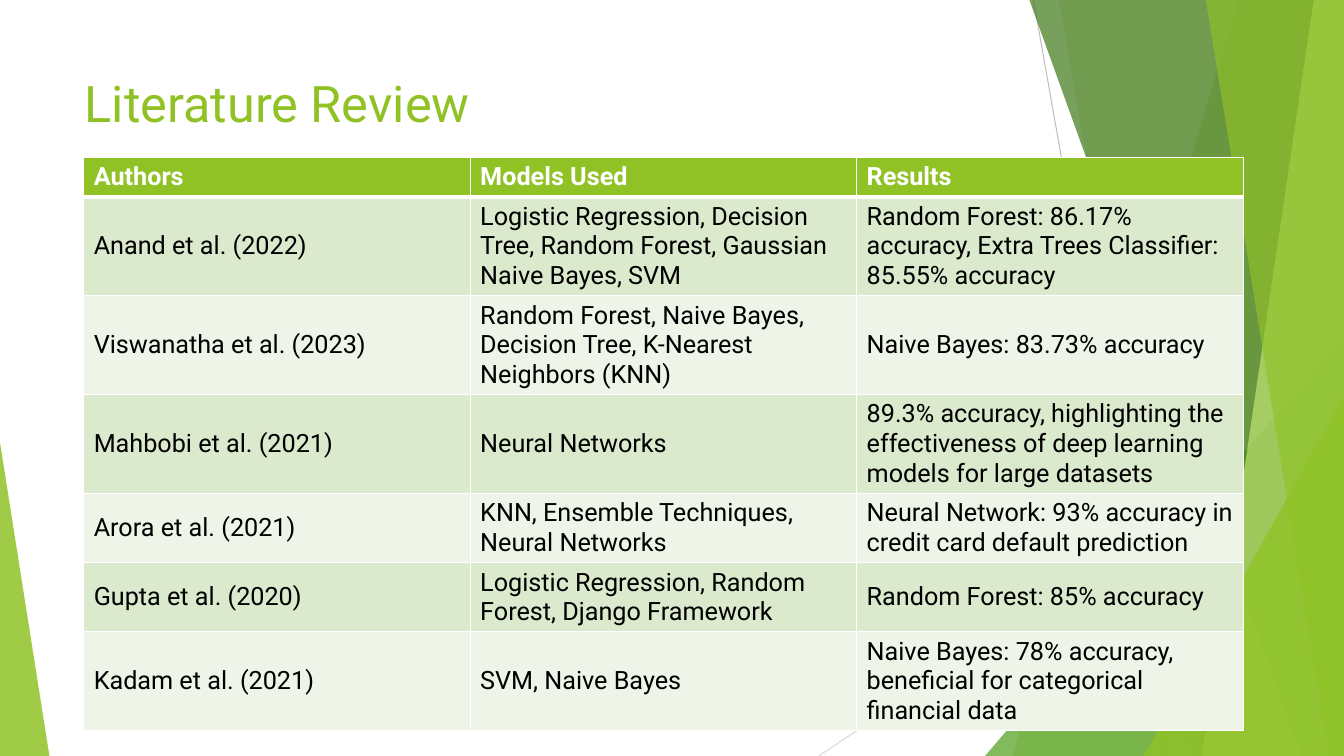
from lxml.etree import SubElement as Sub
from pptx import Presentation
from pptx.dml.color import RGBColor
from pptx.enum.shapes import MSO_CONNECTOR as Conn, MSO_SHAPE as Shape
from pptx.enum.text import MSO_ANCHOR as Anchor, PP_ALIGN as Align
from pptx.oxml.ns import qn
from pptx.util import Inches, Pt

WHITE = RGBColor(0xFF, 0xFF, 0xFF)
BLACK = RGBColor(0, 0, 0)
GREEN = RGBColor(0x90, 0xC2, 0x26)
LEAF = RGBColor(0x54, 0xA0, 0x21)
MOSS = RGBColor(0x3F, 0x78, 0x19)
LIME = RGBColor(0xC0, 0xE4, 0x74)
TINT = RGBColor(0xDB, 0xE9, 0xCD)
PALE = RGBColor(0xEE, 0xF4, 0xE8)
GREY = RGBColor(0xBF, 0xBF, 0xBF)
SILVER = RGBColor(0xD9, 0xD9, 0xD9)
FONT = "Roboto"
W, H = 13.33, 7.5

deck = Presentation()
deck.slide_width, deck.slide_height = Inches(W), Inches(H)
slide = deck.slides.add_slide(deck.slide_layouts[5])
shapes = slide.shapes


def style(run, size, color, bold=False):
    font = run.font
    font.name, font.size, font.bold = FONT, Pt(size), bold
    font.color.rgb = color


# Thin lines behind the green bands
for x1, y1, x2, y2, color in [(10.25, 0, 11.58, H, GREY), (W, 4.03, 8.12, H, SILVER)]:
    line = shapes.add_connector(Conn.STRAIGHT, *map(Inches, (x1, y1, x2, y2)))
    line.line.color.rgb = color
    line.line.width = Pt(0.75)
    Sub(line._element.spPr, qn("a:effectLst"))

# Bands run to the right edge: (top x, bottom x)
# Peaks stand on the bottom edge: (left, top, width, tip)
decor = [
    ((12.28, 10.04), GREEN, 30),
    ((10.5, 11.83), GREEN, 20),
    ((9.77, 3.33, 3.56, 1), LEAF, 72),
    ((10.21, 12.91), MOSS, 70),
    ((13.03, 11.92), LIME, 70),
    ((11.96, 13.18), GREEN, 65),
    ((11.34, 3.93, 1.99, 1), GREEN, 80),
    ((0, 4.39, 0.49, 0), GREEN, 85),
]
for spot, color, alpha in decor:
    if len(spot) == 2:
        top, base = spot
        form = shapes.build_freeform(Inches(top), 0)
        form.add_line_segments(
            [(Inches(x), Inches(y)) for x, y in [(W, 0), (W, H), (base, H)]])
        part = form.convert_to_shape()
    else:
        left, top, wide, tip = spot
        part = shapes.add_shape(Shape.ISOSCELES_TRIANGLE,
                                *map(Inches, (left, top, wide, H - top)))
        part.adjustments[0] = tip
    part.shadow.inherit = False
    part.line.fill.background()
    part.fill.solid()
    part.fill.fore_color.rgb = color
    tone = part._element.spPr.find(qn("a:solidFill"))[0]
    Sub(tone, qn("a:alpha"), val=str(alpha * 1000))

# Title, brought in front of the bands
title = shapes.title
title.left, title.top, title.width, title.height = map(Inches, (0.74, 0.67, 9.4, 1.44))
frame = title.text_frame
frame.text = "Literature Review"
frame.vertical_anchor = Anchor.TOP
frame.paragraphs[0].alignment = Align.LEFT
style(frame.paragraphs[0].runs[0], 36, GREEN)
shapes._spTree.append(title._element)

# Table: each row is as high as its longest cell has lines
rows = [
    (1, "Authors", "Models Used", "Results"),
    (3, "Anand et al. (2022)",
     "Logistic Regression, Decision Tree, Random Forest, Gaussian Naive Bayes, SVM",
     "Random Forest: 86.17% accuracy, Extra Trees Classifier: 85.55% accuracy"),
    (3, "Viswanatha et al. (2023)",
     "Random Forest, Naive Bayes, Decision Tree, K-Nearest Neighbors (KNN)",
     "Naive Bayes: 83.73% accuracy"),
    (3, "Mahbobi et al. (2021)", "Neural Networks",
     "89.3% accuracy, highlighting the effectiveness of deep learning models "
     "for large datasets"),
    (2, "Arora et al. (2021)", "KNN, Ensemble Techniques, Neural Networks",
     "Neural Network: 93% accuracy in credit card default prediction"),
    (2, "Gupta et al. (2020)", "Logistic Regression, Random Forest, Django Framework",
     "Random Forest: 85% accuracy"),
    (3, "Kadam et al. (2021)", "SVM, Naive Bayes",
     "Naive Bayes: 78% accuracy, beneficial for categorical financial data"),
]
high = [0.1 + 0.29 * row[0] for row in rows]
table = shapes.add_table(len(rows), 3, *map(Inches, (0.83, 1.56, 11.5, sum(high)))).table
for col in table.columns:
    col.width = Inches(11.5 / 3)

for r, (_, *texts) in enumerate(rows):
    table.rows[r].height = Inches(high[r])
    for c, text in enumerate(texts):
        cell = table.cell(r, c)
        cell.text = text
        cell.vertical_anchor = Anchor.MIDDLE
        style(cell.text_frame.paragraphs[0].runs[0], 18, BLACK if r else WHITE, r == 0)
        # White borders, thick under the header
        for side in "LRTB":
            thick = (r, side) in [(0, "B"), (1, "T")]
            edge = Sub(cell._tc.get_or_add_tcPr(), qn("a:ln" + side),
                       w=str(Pt(3 if thick else 1)))
            Sub(Sub(edge, qn("a:solidFill")), qn("a:srgbClr"), val=str(WHITE))
        cell.fill.solid()
        cell.fill.fore_color.rgb = GREEN if r == 0 else TINT if r % 2 else PALE

deck.save("out.pptx")
